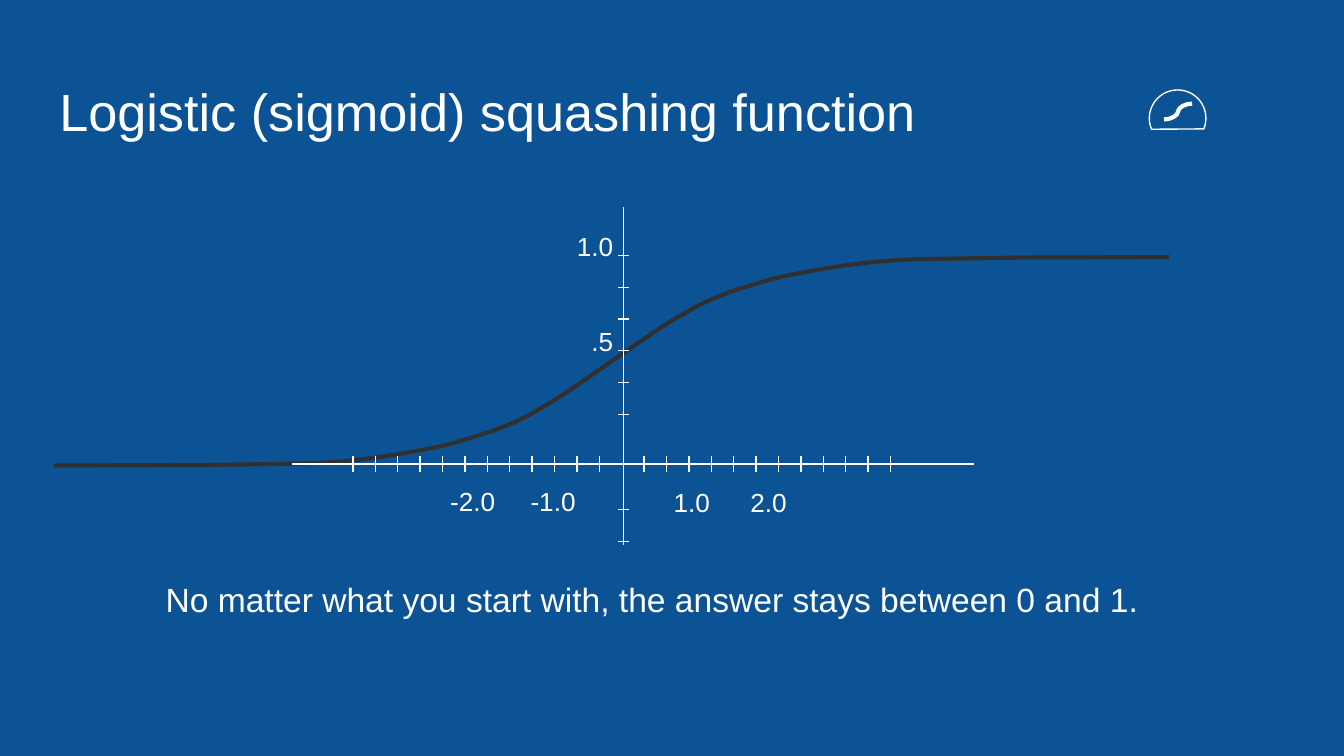
import pptx
import pptx.util
import pptx.dml.color
import pptx.enum.shapes
import pptx.enum.text
import pptx.oxml.ns
import lxml.etree

Cm = pptx.util.Cm
Pt = pptx.util.Pt
RGBColor = pptx.dml.color.RGBColor
MSO_SHAPE = pptx.enum.shapes.MSO_SHAPE
MSO_CONNECTOR = pptx.enum.shapes.MSO_CONNECTOR
PP_ALIGN = pptx.enum.text.PP_ALIGN
MSO_ANCHOR = pptx.enum.text.MSO_ANCHOR
qn = pptx.oxml.ns.qn

BLUE = RGBColor(0x0B, 0x53, 0x94)
WHITE = RGBColor(0xFF, 0xFF, 0xFF)
DARK = RGBColor(0x30, 0x30, 0x30)
FONT = "Arial"

TITLE = "Logistic (sigmoid) squashing function"
CAPTION = "No matter what you start with, the answer stays between 0 and 1."
AXIS_LABELS = [
    ("1.0", 10.42, 4.1), (".5", 10.42, 5.9),
    ("1.0", 12.25, 8.94), ("2.0", 13.7, 8.94),
    ("-1.0", 9.71, 8.92), ("-2.0", 8.19, 8.92),
]
LABEL_SIZE = 1.42

X_AXIS = (5.51, 8.77, 18.41, 8.77)
Y_AXIS = (11.78, 3.91, 11.78, 10.31)
X_TICKS = [11.75 + i * 2.54 / 6 for i in range(-12, 13) if i]
Y_TICKS = [4.83 + i * 0.6 for i in (0, 1, 2, 3, 4, 5, 8, 9)]

CURVE_CENTER = (11.56, 6.83)
CURVE_BEZIERS = [
    ((0.23, 0.15), (0.97, 0.69), (1.35, 0.89)),
    ((1.73, 1.12), (1.93, 1.19), (2.26, 1.32)),
    ((2.59, 1.42), (2.97, 1.55), (3.35, 1.63)),
    ((3.73, 1.7), (4.14, 1.78), (4.55, 1.83)),
    ((4.95, 1.88), (5.23, 1.91), (5.79, 1.93)),
    ((6.32, 1.94), (6.99, 1.95), (7.77, 1.96)),
    ((8.59, 1.96), (10.08, 1.97), (10.54, 1.97)),
]


def set_text(sp, text, size, align=PP_ALIGN.LEFT):
    tf = sp.text_frame
    tf.word_wrap = True
    tf.vertical_anchor = MSO_ANCHOR.TOP
    tf.margin_left = tf.margin_right = tf.margin_top = tf.margin_bottom = Cm(0.25)
    tf.text = text
    p = tf.paragraphs[0]
    p.alignment = align
    font = p.runs[0].font
    font.name, font.size, font.color.rgb = FONT, Pt(size), WHITE


def add_text(s, text, box, size, align=PP_ALIGN.LEFT):
    set_text(s.shapes.add_textbox(*map(Cm, box)), text, size, align)


def set_line(sp, color, width):
    sp.line.color.rgb = color
    sp.line.width = Pt(width)


def add_line(s, ends, width=0.75, kind=MSO_CONNECTOR.STRAIGHT):
    line = s.shapes.add_connector(kind, *map(Cm, ends))
    set_line(line, WHITE, width)
    lxml.etree.SubElement(line._element.spPr, qn("a:effectLst"))
    return line


def bend_segments(sp):
    segments = list(sp._element.iter(qn("a:lnTo")))
    for i in range(0, len(segments), 3):
        bezier = lxml.etree.Element(qn("a:cubicBezTo"))
        segments[i].addprevious(bezier)
        for segment in segments[i:i + 3]:
            bezier.append(segment[0])
            segment.getparent().remove(segment)


def add_half_curve(s):
    cx, cy = CURVE_CENTER
    points = [(Cm(cx + x), Cm(cy - y)) for bezier in CURVE_BEZIERS for x, y in bezier]
    builder = s.shapes.build_freeform(Cm(cx), Cm(cy))
    builder.add_line_segments(points, close=False)
    sp = builder.convert_to_shape()
    bend_segments(sp)
    sp.shadow.inherit = False
    sp.fill.background()
    set_line(sp, DARK, 2.25)
    return sp


def add_curve(s):
    right, left = add_half_curve(s), add_half_curve(s)
    left.left -= left.width
    left.top += left.height
    left.rotation = 180
    s.shapes.add_group_shape([right, left])


def add_icon(s):
    dome = s.shapes.add_shape(MSO_SHAPE.CHORD, Cm(21.72), Cm(1.7), Cm(1.07), Cm(1.07))
    dome.rotation = 112.1
    dome.shadow.inherit = False
    dome.fill.background()
    set_line(dome, WHITE, 0.75)
    squiggle = add_line(s, (22, 2.26, 22.53, 1.96), 2.25, MSO_CONNECTOR.CURVE)
    s.shapes.add_group_shape([dome, squiggle])


def main():
    prs = pptx.Presentation()
    prs.slide_width, prs.slide_height = Cm(25.4), Cm(14.29)
    s = prs.slides.add_slide(prs.slide_layouts[5])
    s.background.fill.solid()
    s.background.fill.fore_color.rgb = BLUE

    title = s.shapes.title
    title.left, title.top, title.width, title.height = map(Cm, (0.87, 1.24, 23.67, 1.6))
    set_text(title, TITLE, 28)

    add_curve(s)
    add_line(s, X_AXIS)
    add_line(s, Y_AXIS)
    for y in Y_TICKS:
        add_line(s, (Y_AXIS[0] - 0.1, y, Y_AXIS[0] + 0.1, y))
    for x in X_TICKS:
        add_line(s, (x, X_AXIS[1] - 0.15, x, X_AXIS[1] + 0.15))

    for text, left, top in AXIS_LABELS:
        add_text(s, text, (left, top, LABEL_SIZE, LABEL_SIZE), 14, PP_ALIGN.RIGHT)
    add_text(s, CAPTION, (2.88, 10.69, 23.67, 1.6), 18)

    add_icon(s)
    prs.save("out.pptx")


if __name__ == "__main__":
    main()
